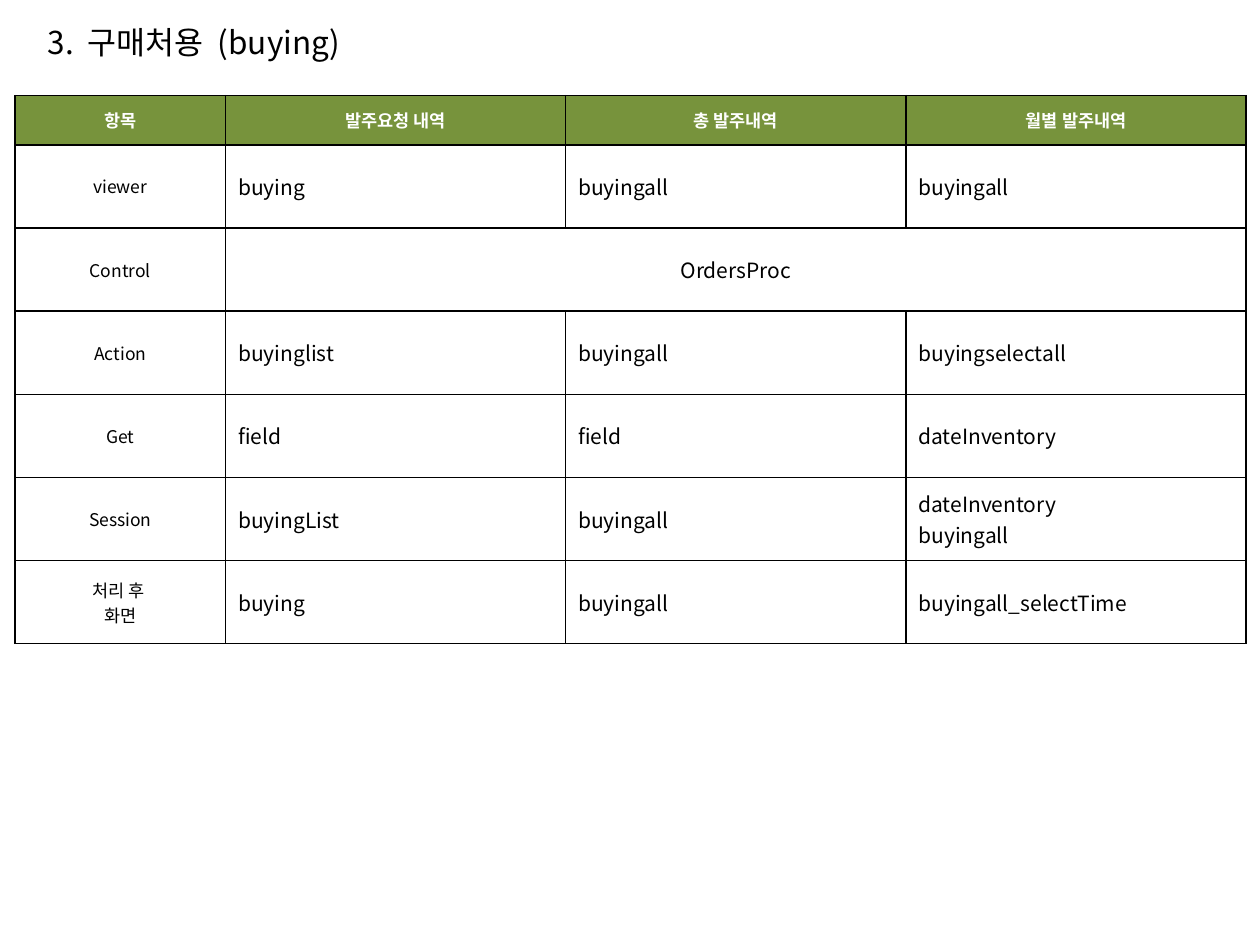
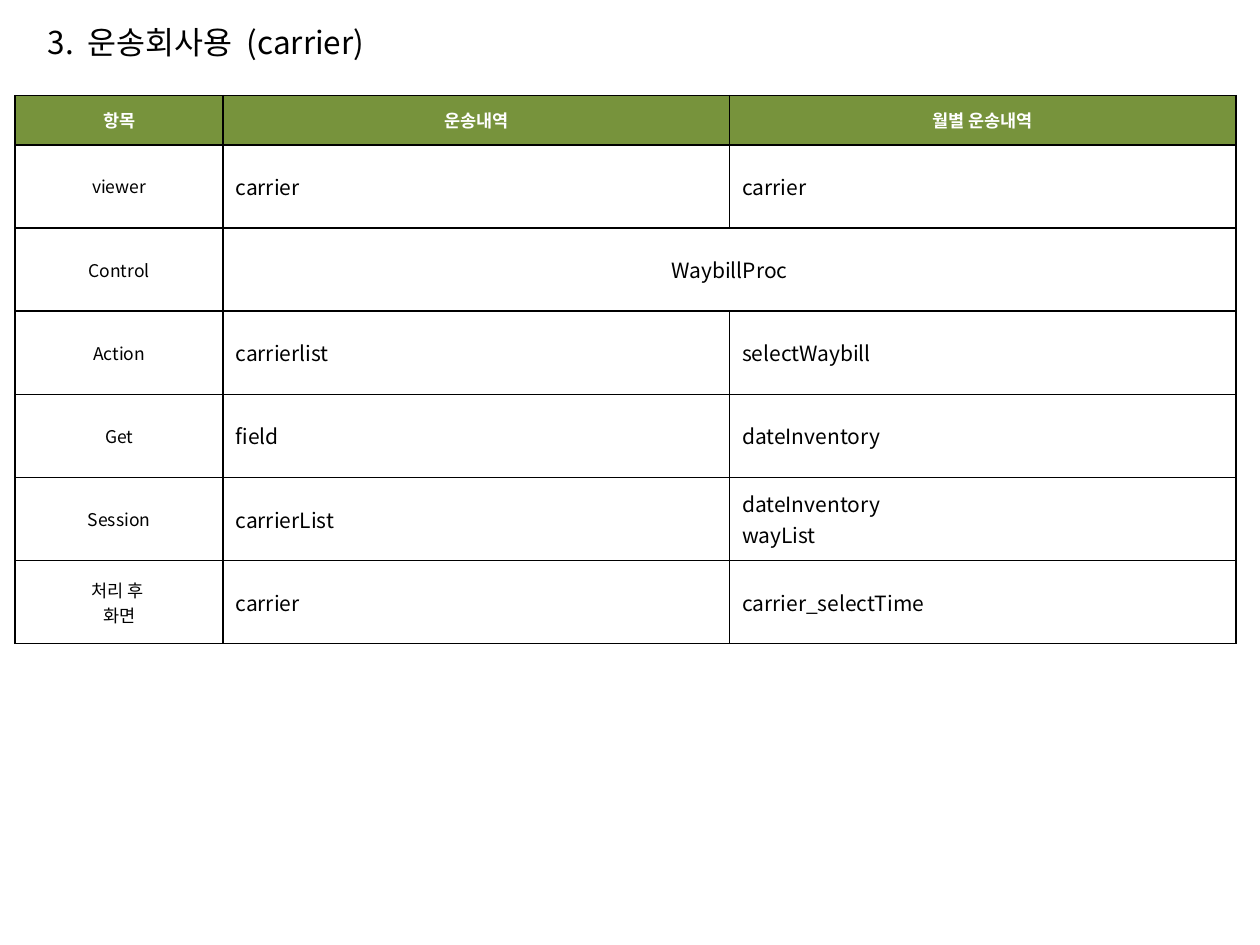
from pptx import Presentation
from pptx import util as u
from pptx.dml.color import RGBColor
from pptx.enum import text
from pptx.oxml.ns import qn
from lxml import etree

FONT = "Noto Sans CJK KR"
BLACK = RGBColor(0x00, 0x00, 0x00)
WHITE = RGBColor(0xFF, 0xFF, 0xFF)
GREEN = RGBColor(0x77, 0x93, 0x3C)
HEAD, ROW = 0.39, 0.66
LABELS = ["항목", "viewer", "Control", "Action", "Get", "Session", "처리 후 \n화면"]


def add_run(para, words, size, color=BLACK, bold=False):
    run = para.add_run()
    run.text = words
    font = run.font
    font.name, font.size, font.bold = FONT, u.Pt(size), bold
    font.color.rgb = color
    etree.SubElement(font._element, qn("a:ea"), typeface=FONT)
    return run


def add_title(slide, left, top, width, height, words):
    box = slide.shapes.add_textbox(*map(u.Inches, (left, top, width, height)))
    frame = box.text_frame
    frame.word_wrap = True
    frame.auto_size = text.MSO_AUTO_SIZE.SHAPE_TO_FIT_TEXT
    para = frame.paragraphs[0]
    for i, word in enumerate(words.split()):
        if i:  # widened gap between words
            add_run(para, " ", 18).font._element.set("spc", "400")
        add_run(para, word, 18)


def add_border(cell):
    props = cell._tc.get_or_add_tcPr()
    for side in ("a:lnL", "a:lnR", "a:lnT", "a:lnB"):
        line = etree.SubElement(props, qn(side), w=str(u.Pt(1)))
        fill = etree.SubElement(line, qn("a:solidFill"))
        etree.SubElement(fill, qn("a:srgbClr"), val=str(BLACK))


def fill_cell(cell, words, size, center, head):
    cell.vertical_anchor = text.MSO_ANCHOR.MIDDLE
    frame = cell.text_frame
    for i, line in enumerate(words.split("\n")):
        para = frame.add_paragraph() if i else frame.paragraphs[0]
        para.alignment = text.PP_ALIGN.CENTER if center else text.PP_ALIGN.LEFT
        add_run(para, line, size, WHITE if head else BLACK, head)


def add_grid(slide, left, top, first, width, rows):
    """Label column, then equal columns; a row with one value spans them all."""
    cols = len(rows[0])
    height = HEAD + ROW * (len(rows) - 1)
    table = slide.shapes.add_table(
        len(rows), cols + 1, u.Inches(left), u.Inches(top),
        u.Inches(first + width * cols), u.Inches(height)).table
    table.first_row = table.horz_banding = False
    for c, col in enumerate(table.columns):
        col.width = u.Inches(width if c else first)
    for r, (label, values) in enumerate(zip(LABELS, rows)):
        head = r == 0
        table.rows[r].height = u.Inches(HEAD if head else ROW)
        # Borders and fill
        for c in range(cols + 1):
            cell = table.cell(r, c)
            add_border(cell)
            if head:
                cell.fill.solid()
                cell.fill.fore_color.rgb = GREEN
            else:
                cell.fill.background()
        # Words
        span = len(values) == 1
        if span:
            table.cell(r, 1).merge(table.cell(r, cols))
        fill_cell(table.cell(r, 0), label, 10, True, head)
        for c, value in enumerate(values, 1):
            fill_cell(table.cell(r, c), value, 10 if head else 12, head or span, head)


def add_page(deck, title, first, width, rows):
    slide = deck.slides.add_slide(deck.slide_layouts[6])
    add_title(slide, 0.28, 0.13, 9.13, 0.4, title)
    add_grid(slide, 0.12, 0.76, first, width, rows)


deck = Presentation()
deck.slide_width, deck.slide_height = u.Inches(10), u.Inches(7.5)

add_page(deck, "3. 구매처용 (buying)", 1.67, 2.7, [
    ["발주요청 내역", "총 발주내역", "월별 발주내역"],
    ["buying", "buyingall", "buyingall"],
    ["OrdersProc"],
    ["buyinglist", "buyingall", "buyingselectall"],
    ["field", "field", "dateInventory"],
    ["buyingList", "buyingall", "dateInventory\nbuyingall"],
    ["buying", "buyingall", "buyingall_selectTime"],
])

add_page(deck, "3. 운송회사용 (carrier)", 1.65, 4.02, [
    ["운송내역", "월별 운송내역"],
    ["carrier", "carrier"],
    ["WaybillProc"],
    ["carrierlist", "selectWaybill"],
    ["field", "dateInventory"],
    ["carrierList", "dateInventory\nwayList"],
    ["carrier", "carrier_selectTime"],
])

deck.save("out.pptx")
